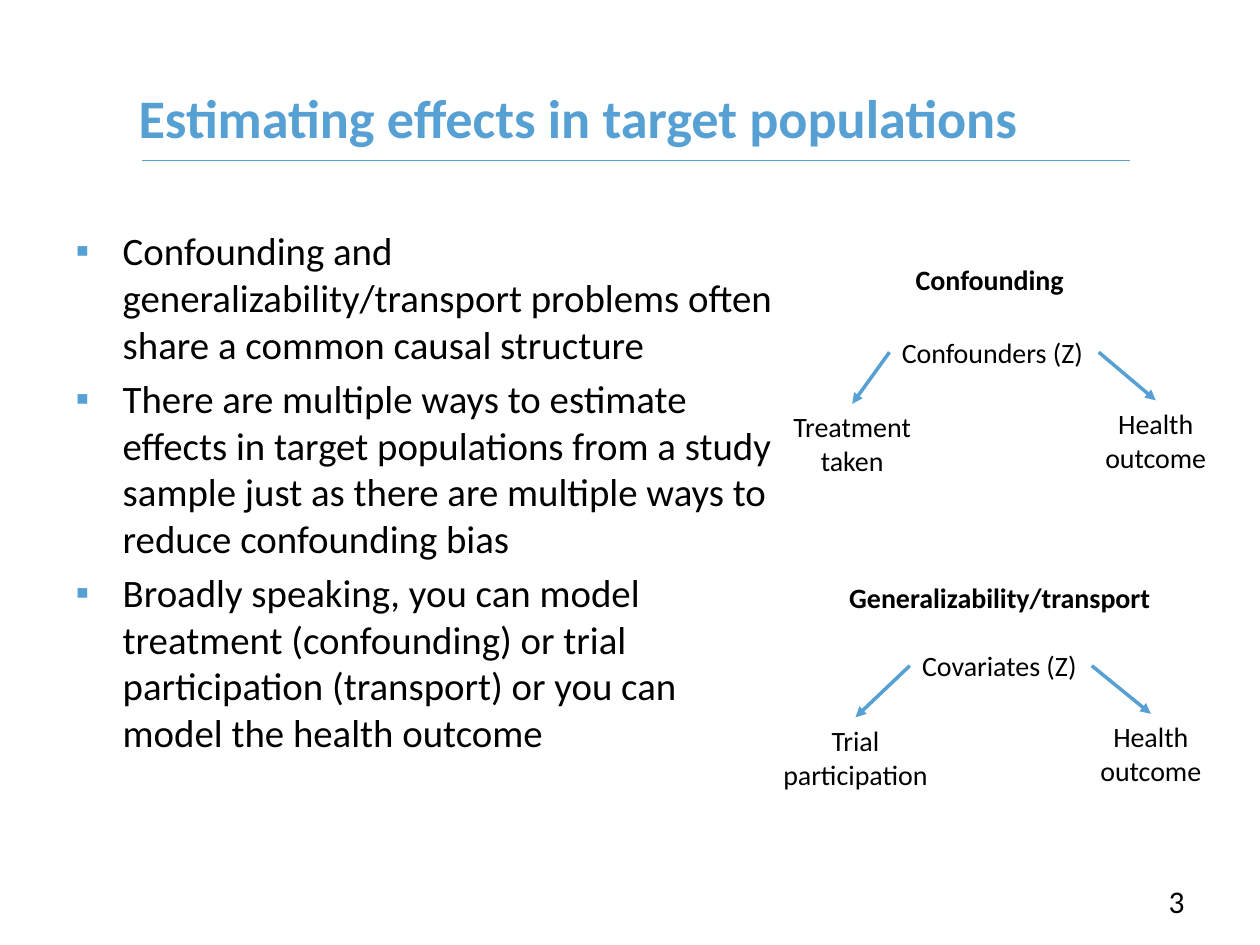
from lxml import etree
from pptx import Presentation
from pptx.dml.color import RGBColor
from pptx.enum.shapes import MSO_CONNECTOR
from pptx.enum.text import MSO_ANCHOR, MSO_AUTO_SIZE, PP_ALIGN
from pptx.oxml.ns import qn
from pptx.util import Cm, Pt

LEFT, CENTER, RIGHT = PP_ALIGN.LEFT, PP_ALIGN.CENTER, PP_ALIGN.RIGHT
TOP, MIDDLE = MSO_ANCHOR.TOP, MSO_ANCHOR.MIDDLE
NO_FIT = MSO_AUTO_SIZE.NONE
STRAIGHT = MSO_CONNECTOR.STRAIGHT
BLUE, BLACK = "56A0D3", "000000"
FONT = "Calibri"
LINE_H, TWO_LINE_H = 0.94, 1.63

BULLETS = [
    "Confounding and generalizability/transport problems often share a common causal structure",
    "There are multiple ways to estimate effects in target populations from a study sample "
    "just as there are multiple ways to reduce confounding bias",
    "Broadly speaking, you can model treatment (confounding) or trial participation "
    "(transport) or you can model the health outcome",
]


def rgb(color):
    return RGBColor.from_string(color)


def place(sp, x, y, w, h):
    sp.left, sp.top, sp.width, sp.height = Cm(x), Cm(y), Cm(w), Cm(h)


def write(tf, lines, size=16, color=BLACK, bold=False, align=LEFT, anchor=TOP, wrap=True):
    """Fill a text frame with one paragraph for each line."""
    tf.word_wrap, tf.auto_size, tf.vertical_anchor = wrap, NO_FIT, anchor
    for i, line in enumerate(lines):
        p = tf.add_paragraph() if i else tf.paragraphs[0]
        p.alignment = align
        r = p.add_run()
        r.text = line
        r.font.name, r.font.size, r.font.bold = FONT, Pt(size), bold
        r.font.color.rgb = rgb(color)


def add_text(s, x, y, w, h, *lines, **style):
    sp = s.shapes.add_textbox(Cm(x), Cm(y), Cm(w), Cm(h))
    write(sp.text_frame, lines, **style)


def add_line(s, x1, y1, x2, y2, width, arrow=False):
    line = s.shapes.add_connector(STRAIGHT, Cm(x1), Cm(y1), Cm(x2), Cm(y2))
    line.line.color.rgb = rgb(BLUE)
    line.line.width = Pt(width)
    if arrow:
        etree.SubElement(line.line._get_or_add_ln(), qn("a:tailEnd"), type="triangle")
    etree.SubElement(line._element.spPr, qn("a:effectLst"))


def set_bullet(p, indent):
    p.space_before = Pt(4.4)
    pPr = p._p.get_or_add_pPr()
    pPr.set("marL", str(Cm(indent)))
    pPr.set("indent", str(-Cm(indent)))
    color = etree.SubElement(pPr, qn("a:buClr"))
    etree.SubElement(color, qn("a:srgbClr"), val=BLUE)
    etree.SubElement(pPr, qn("a:buChar"), char="▪")


def title_region(s, x, y, w, h):
    add_line(s, x + 0.33, y + 2.47, x + 20.24, y + 2.47, 0.75)
    title = s.shapes.title
    place(title, x, y, w, h)
    write(title.text_frame, ["Estimating effects in target populations"],
          size=31, color=BLUE, bold=True, anchor=MIDDLE)


def bullet_region(s, x, y, w, h):
    body = s.placeholders[1]
    place(body, x, y, w, h)
    write(body.text_frame, BULLETS, size=22.2)
    for p in body.text_frame.paragraphs:
        set_bullet(p, 0.95)


def causal_diagram(s, x, y, w, heading, cause, left_effect, left_w, cause_y):
    """Heading and cause are (text, offset, width); arrows run from the cause to both effects."""
    text, dx, width = heading
    add_text(s, x + dx, y, width, LINE_H, text, bold=True, wrap=False)

    text, dx, cause_w = cause
    cause_x, cause_top = x + dx, y + cause_y
    add_text(s, cause_x, cause_top, cause_w, LINE_H, text, wrap=False)

    right_w = 2.92
    effects = [
        (left_effect, x, left_w, 1.51, cause_x),
        (("Health", "outcome"), x + w - right_w, right_w, 1.44, cause_x + cause_w),
    ]
    for lines, effect_x, effect_w, drop, start_x in effects:
        effect_y = cause_top + drop
        add_text(s, effect_x, effect_y, effect_w, TWO_LINE_H, *lines, align=CENTER, wrap=False)
        add_line(s, start_x, cause_top + LINE_H / 2, effect_x + effect_w / 2, effect_y,
                 2, arrow=True)


def main():
    prs = Presentation()
    prs.slide_width, prs.slide_height = Cm(25.4), Cm(19.05)
    s = prs.slides.add_slide(prs.slide_layouts[1])
    title_region(s, 2.54, 0.76, 21.26, 3.18)
    bullet_region(s, 1.27, 4.45, 14.58, 12.24)
    causal_diagram(s, 15.72, 5.16, 9.04, ("Confounding", 2.49, 3.56),
                   ("Confounders (Z)", 2.21, 4.22), ("Treatment", "taken"), 2.92, 1.47)
    causal_diagram(s, 15.52, 11.58, 9.14, ("Generalizability/transport", 1.35, 6.65),
                   ("Covariates (Z)", 2.82, 3.67), ("Trial", "participation"), 3.45, 1.37)
    add_text(s, 18.21, 17.65, 5.92, 1.02, "3", size=18, align=RIGHT)
    prs.save("out.pptx")


if __name__ == "__main__":
    main()
